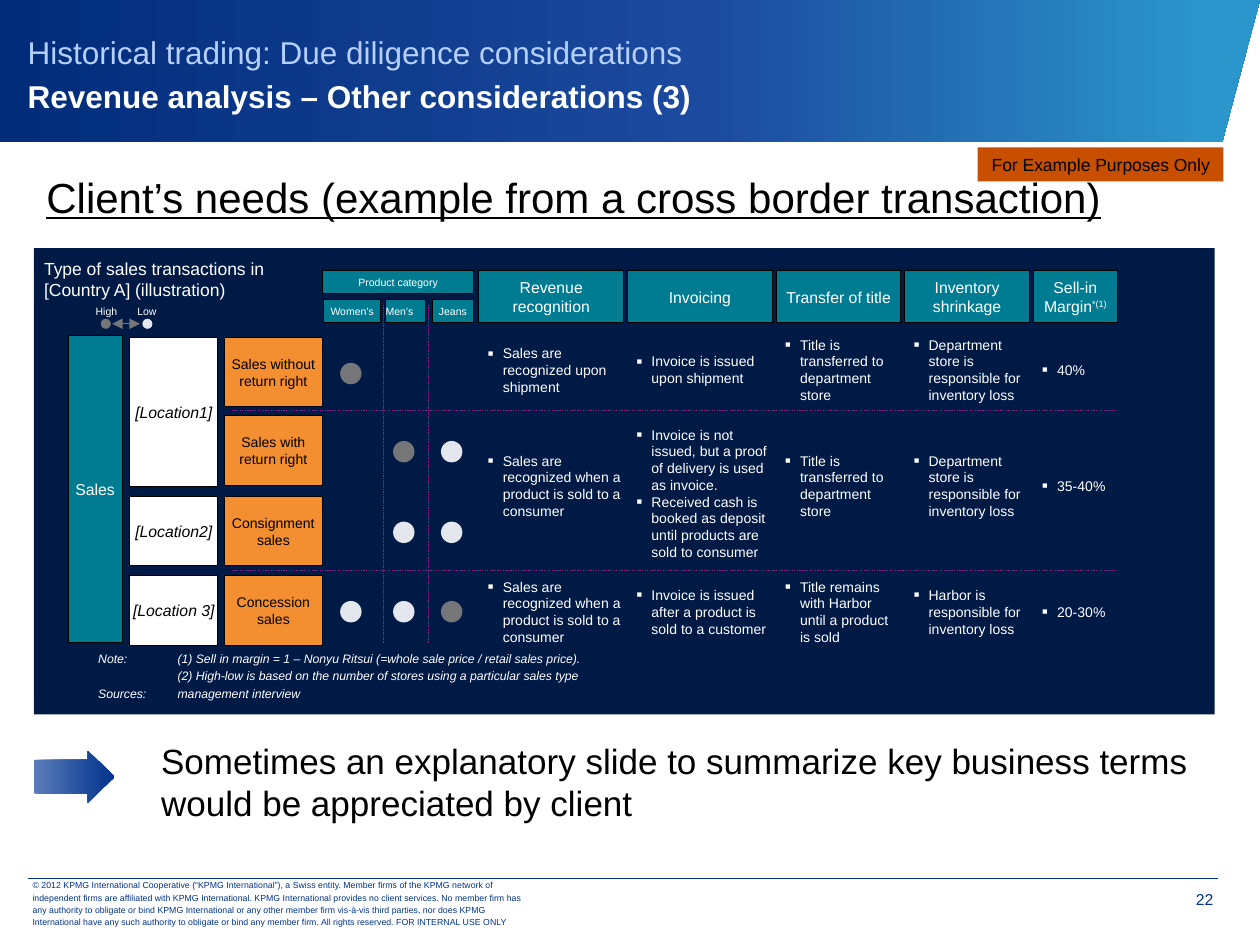
from lxml.etree import SubElement
from pptx import Presentation
from pptx.dml.color import RGBColor
from pptx.enum.dml import MSO_LINE
from pptx.enum.shapes import MSO_CONNECTOR as CXN, MSO_SHAPE as SHP
from pptx.enum.text import MSO_ANCHOR as ANC, PP_ALIGN as AL
from pptx.oxml.ns import qn
from pptx.util import Inches, Pt

WHITE = RGBColor(0xFF, 0xFF, 0xFF)
BLACK = RGBColor(0, 0, 0)
NAVY = RGBColor(0x00, 0x1A, 0x46)
TEAL = RGBColor(0x00, 0x7C, 0x92)
ORANGE = RGBColor(0xF3, 0x8E, 0x31)
RUST = RGBColor(0xC8, 0x4E, 0x00)
BLUE = RGBColor(0x00, 0x33, 0x8D)
MID_BLUE = RGBColor(0x5B, 0x7C, 0xBA)
PALE_BLUE = RGBColor(0xB5, 0xD0, 0xFF)
PURPLE = RGBColor(0x8E, 0x25, 0x8D)
HIGH = RGBColor(0x74, 0x76, 0x78)
LOW = RGBColor(0xE5, 0xE7, 0xEF)
BAND = [(0, RGBColor(0x00, 0x2C, 0x7A)), (56, RGBColor(0x1C, 0x4A, 0x9E)),
        (96, RGBColor(0x2B, 0x96, 0xCB))]

ROW_TOPS = (0.02, 0.64, 1.28, 1.91)
TERMS = [
    (1.15, ["Revenue", "recognition"],
     [["Sales are recognized upon shipment"],
      ["Sales are recognized when a product is sold to a consumer"],
      ["Sales are recognized when a product is sold to a consumer"]]),
    (1.15, ["Invoicing"],
     [["Invoice is issued upon shipment"],
      ["Invoice is not issued, but a proof of delivery is used as invoice.",
       "Received cash is booked as deposit until products are sold to consumer"],
      ["Invoice is issued after a product is sold to a customer"]]),
    (0.99, ["Transfer of title"],
     [["Title is transferred to department store"],
      ["Title is transferred to department store"],
      ["Title remains with Harbor until a product is sold"]]),
    (0.99, ["Inventory", "shrinkage"],
     [["Department store is responsible for inventory loss"],
      ["Department store is responsible for inventory loss"],
      ["Harbor is responsible for inventory loss"]]),
    (0.67, ["Sell-in", [("Margin", {}), ("*(1)", {"baseline": "30000"})]],
     [["40%"], ["35-40%"], ["20-30%"]]),
]
NOTES = ["Note:\t(1) Sell in margin = 1 – Nonyu Ritsui (=whole sale price / retail sales price).",
         "\t(2) High-low is based on the number of stores using a particular sales type",
         "Sources:\tmanagement interview"]
COPYRIGHT = (
    "© 2012 KPMG International Cooperative (“KPMG International”), a Swiss entity. "
    "Member firms of the KPMG network of independent firms are affiliated with KPMG "
    "International. KPMG International provides no client services. No member firm has any "
    "authority to obligate or bind KPMG International or any other member firm vis-à-vis third "
    "parties, nor does KPMG International have any such authority to obligate or bind any "
    "member firm. All rights reserved. FOR INTERNAL USE ONLY")


def set_gradient(sp, stops):
    """Fill a shape with a left-to-right gradient."""
    sp.fill.gradient()
    sp.fill.gradient_angle = 0
    gs_list = sp._element.spPr.find(qn("a:gradFill")).find(qn("a:gsLst"))
    for gs in list(gs_list):
        gs_list.remove(gs)
    for pos, color in stops:
        gs = SubElement(gs_list, qn("a:gs"), pos=str(pos * 1000))
        SubElement(gs, qn("a:srgbClr"), val=str(color))


def add_bullet(p):
    """Give a paragraph a small white square bullet."""
    pPr = p._p.get_or_add_pPr()
    pPr.set("marL", str(Inches(0.19)))
    pPr.set("indent", str(Inches(-0.12)))
    SubElement(SubElement(pPr, qn("a:buClr")), qn("a:srgbClr"), val=str(WHITE))
    SubElement(pPr, qn("a:buSzPct"), val="125000")
    SubElement(pPr, qn("a:buFont"), typeface="Arial")
    SubElement(pPr, qn("a:buChar"), char="▪")


def write(sp, paras, size, color=WHITE, align=AL.LEFT, anchor=ANC.MIDDLE,
          ins=(0, 0, 0, 0), wrap=True, bullet=False, **fmt):
    """Fill a shape's text frame; a paragraph is a string or a list of runs."""
    tf = sp.text_frame
    sides = ("margin_left", "margin_top", "margin_right", "margin_bottom")
    frame = dict(zip(sides, map(Inches, ins)), word_wrap=wrap, vertical_anchor=anchor)
    for name, value in frame.items():
        setattr(tf, name, value)
    for i, para in enumerate(paras):
        p = tf.add_paragraph() if i else tf.paragraphs[0]
        p.alignment = align
        if bullet:
            add_bullet(p)
        for text, extra in [(para, {})] if isinstance(para, str) else para:
            r = p.add_run()
            r.text = text
            r.font.color.rgb = color
            for name, value in {"name": "Arial", "size": Pt(size), **fmt}.items():
                setattr(r.font, name, value)
            for name, value in extra.items():
                r.font._element.set(name, value)
    return tf


def add_text(s, box, paras, size, **opts):
    """Place a text box."""
    return write(s.shapes.add_textbox(*map(Inches, box)), paras, size, **opts)


def add_block(s, box, fill, paras=(), size=9, kind=SHP.RECTANGLE, outline=True, **opts):
    """Place a filled preset shape, with centred text when given."""
    sp = s.shapes.add_shape(kind, *map(Inches, box))
    sp.shadow.inherit = False
    sp.fill.solid()
    sp.fill.fore_color.rgb = fill
    if outline:
        sp.line.color.rgb = BLACK
        sp.line.width = Pt(0.5)
    else:
        sp.line.fill.background()
    if paras:
        write(sp, paras, size, **{"align": AL.CENTER, **opts})
    return sp


def add_line(s, x1, y1, x2, y2, color, width, dotted=False, arrows=False):
    """Draw a straight line."""
    c = s.shapes.add_connector(CXN.STRAIGHT, *map(Inches, (x1, y1, x2, y2)))
    c.line.color.rgb = color
    c.line.width = Pt(width)
    if dotted:
        c.line.dash_style = MSO_LINE.ROUND_DOT
    if arrows:
        for end in ("a:headEnd", "a:tailEnd"):
            SubElement(c.line._get_or_add_ln(), qn(end), type="triangle")
    SubElement(c._element.spPr, qn("a:effectLst"))


def add_dot(s, x, y, d, color):
    """Place a round marker."""
    add_block(s, (x, y, d, d), color, kind=SHP.OVAL, outline=False)


def add_header(s, x, y, w, h):
    """Draw the title band with its two-line title."""
    fb = s.shapes.build_freeform(Inches(x), Inches(y))
    corners = [(x + w, y), (x + w - 0.3, y + h), (x, y + h)]
    fb.add_line_segments([(Inches(a), Inches(b)) for a, b in corners])
    band = fb.convert_to_shape()
    band.shadow.inherit = False
    band.line.fill.background()
    set_gradient(band, BAND)
    tf = add_text(s, (x + 0.22, y + 0.13, w - 0.65, 0.87),
                  ["Historical trading: Due diligence considerations",
                   "Revenue analysis – Other considerations (3)"], 18, color=PALE_BLUE)
    for p in tf.paragraphs:
        p.line_spacing = Pt(25)
    title = tf.paragraphs[1].runs[0].font
    title.bold = True
    title.color.rgb = WHITE


def add_legend(s, x, y):
    """Draw the high-low key."""
    for dx, label, color in ((0, "High", HIGH), (0.33, "Low", LOW)):
        add_text(s, (x + dx, y, 0.3, 0.1), [label], 6, anchor=ANC.TOP)
        add_dot(s, x + dx + 0.04, y + 0.11, 0.08, color)
    add_line(s, x + 0.13, y + 0.15, x + 0.35, y + 0.15, HIGH, 0.5, arrows=True)


def add_channels(s, x, y, h):
    """Draw the sales bar, the locations and the sales types."""
    add_block(s, (x, y, 0.43, h), TEAL, ["Sales"])
    locations = [("[Location1]", 0, 1.18), ("[Location2]", 2, 0.55), ("[Location 3]", 3, 0.55)]
    for name, row, height in locations:
        add_block(s, (x + 0.49, y + ROW_TOPS[row], 0.7, height), WHITE, [name],
                  color=BLACK, italic=True)
    types = ("Sales without return right", "Sales with return right",
             "Consignment sales", "Concession sales")
    for name, top in zip(types, ROW_TOPS):
        add_block(s, (x + 1.24, y + top, 0.78, 0.55), ORANGE, [name], 8, color=BLACK)


def add_categories(s, x, y, w):
    """Draw the product category heads, dividers and markers."""
    add_block(s, (x, y, w, 0.18), TEAL, ["Product category"], 6)
    heads = [("Women’s", 0.01, 0.45, AL.CENTER), ("Men’s", 0.5, 0.32, AL.LEFT),
             ("Jeans", 0.87, 0.33, AL.CENTER)]
    for name, dx, width, align in heads:
        add_block(s, (x + dx, y + 0.23, width, 0.18), TEAL, [name], 6, align=align)
    for dx in (0.48, 0.84):
        add_line(s, x + dx, y + 0.27, x + dx, y + 2.96, PURPLE, 0.5, dotted=True)
    for top, marks in zip(ROW_TOPS, ("H  ", " HL", " LL", "LLH")):
        for dx, mark in zip((0.14, 0.56, 0.94), marks):
            if mark != " ":
                add_dot(s, x + dx, y + 0.51 + top + 0.2, 0.17, HIGH if mark == "H" else LOW)


def add_terms(s, x, y):
    """Draw the columns of business terms."""
    for w, head, cells in TERMS:
        add_block(s, (x, y, w, 0.41), TEAL, head)
        for top, items in zip((0.52, 1.44, 2.44), cells):
            drop = 0.06 if len(items) > 1 else 0
            add_text(s, (x, y + top + drop, w, 0.53), items, 8, bullet=True)
        x += w + 0.03


def add_panel(s, x, y, w, h):
    """Draw the dark panel with the sales overview."""
    add_block(s, (x, y, w, h), NAVY, outline=False)
    for dy in (1.29, 2.56):
        add_line(s, x + 1.57, y + dy, x + 8.6, y + dy, PURPLE, 0.75, dotted=True)
    add_text(s, (x + 0.08, y + 0.08, 1.81, 0.34),
             ["Type of sales transactions in [Country A] (illustration)"], 10, anchor=ANC.TOP)
    add_legend(s, x + 0.49, y + 0.45)
    add_channels(s, x + 0.27, y + 0.69, 2.44)
    add_categories(s, x + 2.29, y + 0.18, 1.2)
    add_terms(s, x + 3.53, y + 0.18)
    tf = add_text(s, (x + 0.51, y + 3.17, 8.07, 0.42), NOTES, 7, anchor=ANC.BOTTOM, italic=True)
    for i, p in enumerate(tf.paragraphs):
        pPr = p._p.get_or_add_pPr()
        pPr.set("marL", str(Inches(0.63)))
        pPr.set("indent", str(Inches(-0.63)))
        p.space_before = Pt(1.6 if i else 0)


def add_takeaway(s, x, y, w, h):
    """Draw the arrow and the closing message."""
    arrow = add_block(s, (x, y + 0.14, 0.64, 0.41), BLUE, kind=SHP.RIGHT_ARROW, outline=False)
    arrow.adjustments[0], arrow.adjustments[1] = 0.65, 0.52
    set_gradient(arrow, [(0, MID_BLUE), (100, BLUE)])
    add_text(s, (x + 0.91, y, w - 0.91, h),
             ["Sometimes an explanatory slide to summarize key business terms would be "
              "appreciated by client"], 20, color=BLACK, anchor=ANC.TOP, ins=(0.1, 0.05, 0.1, 0.05))


def add_footer(s, x, y, w):
    """Draw the rule, the copyright line and the page number."""
    add_line(s, x, y, x + w, y, BLUE, 0.25)
    tf = add_text(s, (x - 0.06, y + 0.02, 4.15, 0.35), [COPYRIGHT], 5, color=BLUE,
                  ins=(0.1, 0.05, 0.1, 0.05))
    tf.paragraphs[0].line_spacing = Pt(7)
    add_text(s, (x + w - 0.59, y + 0.01, 0.55, 0.31), ["22"], 9, color=BLUE,
             align=AL.RIGHT, anchor=ANC.TOP, ins=(0.08, 0.08, 0, 0))


def main():
    """Build the slide and save it."""
    prs = Presentation()
    prs.slide_width, prs.slide_height = Inches(10), Inches(7.5)
    s = prs.slides.add_slide(prs.slide_layouts[6])
    add_header(s, 0, 0, 10, 1.13)
    add_panel(s, 0.27, 1.97, 9.37, 3.7)
    add_text(s, (0.27, 1.31, 9.24, 0.5),
             ["Client’s needs (example from a cross border transaction)"], 24, color=BLACK,
             ins=(0.1, 0.05, 0.1, 0.05), wrap=False, underline=True)
    add_takeaway(s, 0.27, 5.82, 9.3, 0.74)
    add_block(s, (7.76, 1.17, 1.95, 0.27), RUST, ["For Example Purposes Only"], 10,
              color=BLACK, outline=False, wrap=False)
    add_footer(s, 0.22, 6.97, 9.45)
    prs.save("out.pptx")


if __name__ == "__main__":
    main()
